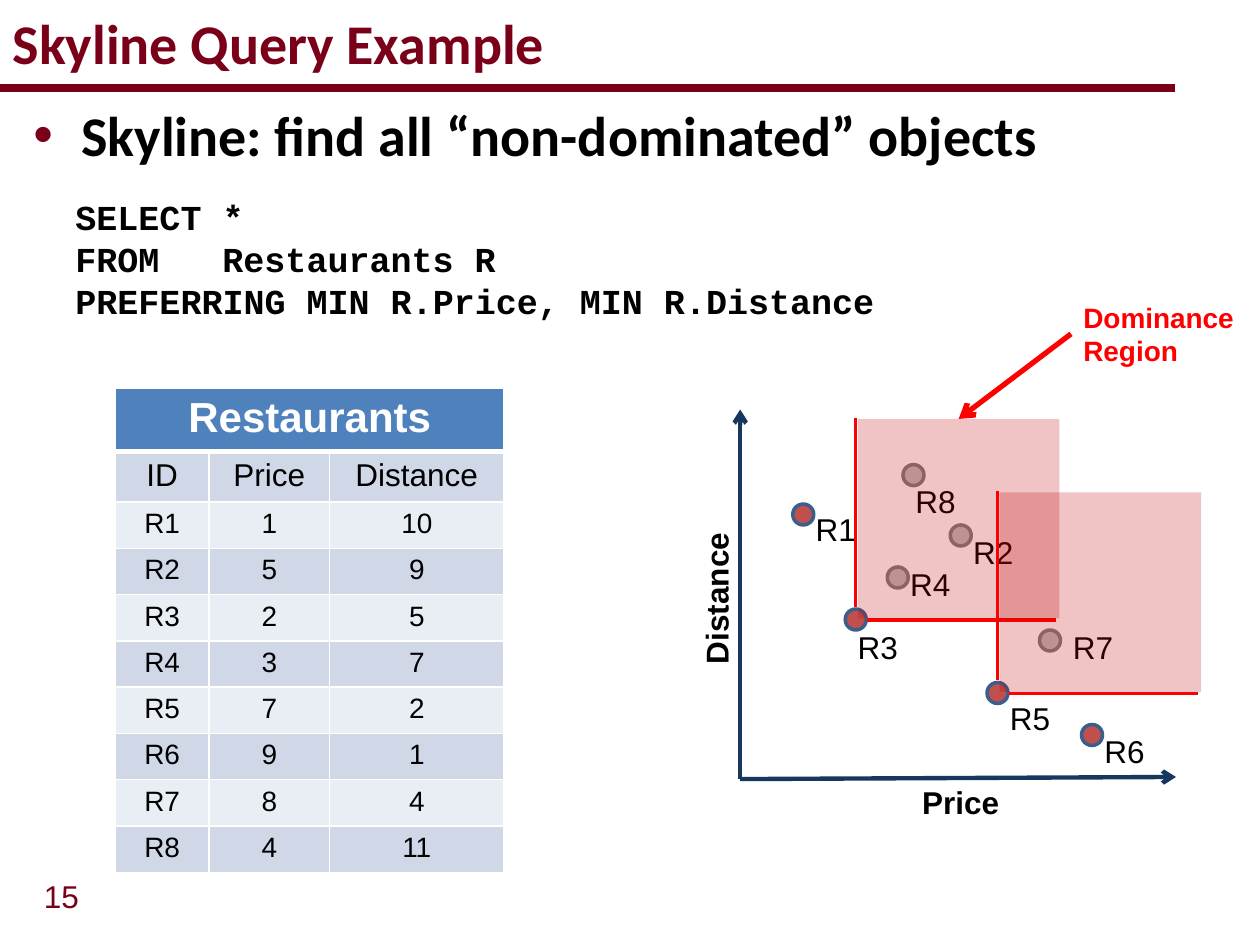
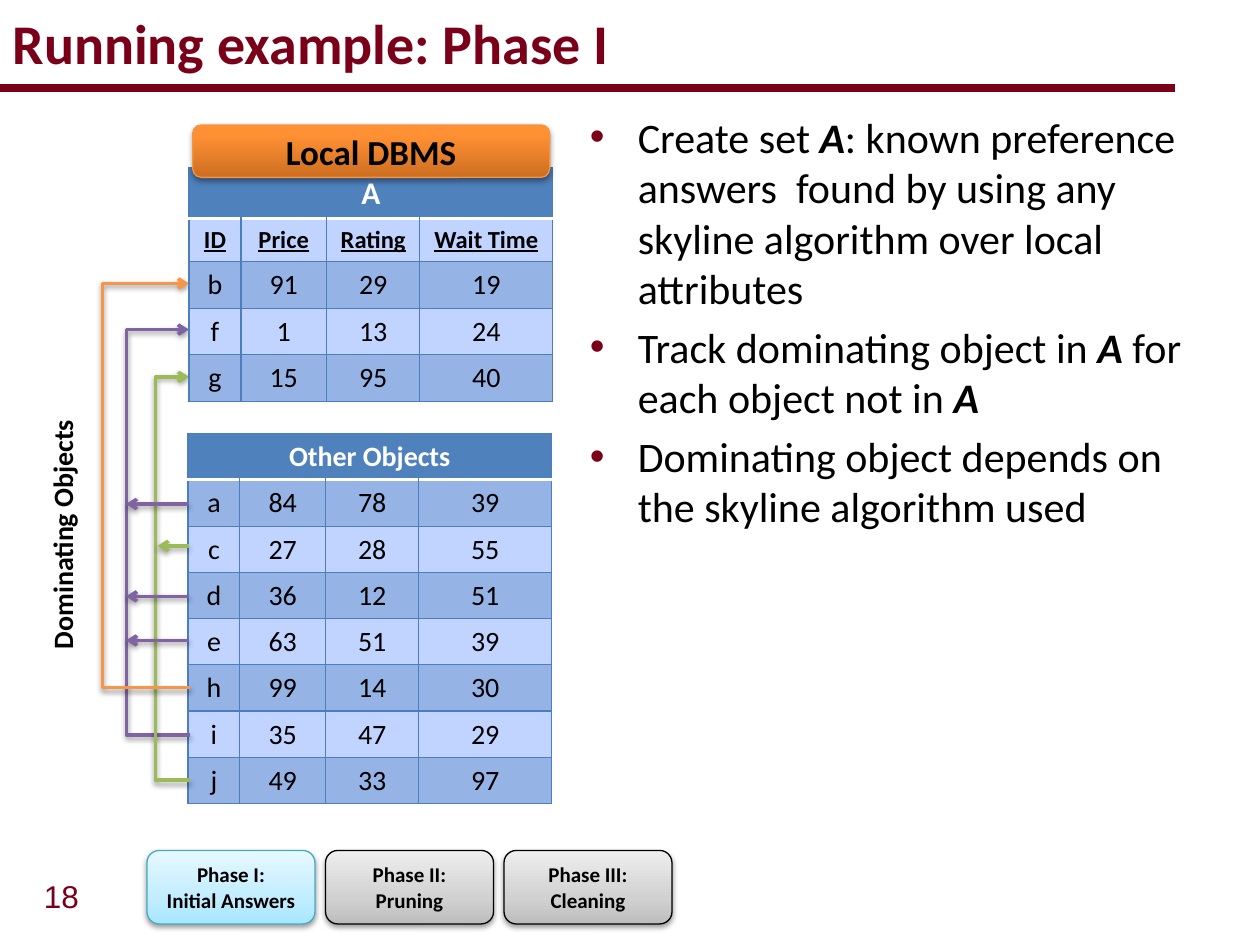
from pptx import Presentation
from pptx.dml.color import RGBColor
from pptx.enum.shapes import MSO_CONNECTOR, MSO_SHAPE
from pptx.enum.text import MSO_ANCHOR, PP_ALIGN
from pptx.oxml import parse_xml
from pptx.oxml.ns import nsdecls, qn
from pptx.util import Inches, Pt

# The slide is a grid of 120 columns by 90 rows of square cells
COLS, ROWS = 120, 90
WIDTH, HEIGHT = Inches(10), Inches(7.5)

MAROON = RGBColor(0x7A, 0x00, 0x19)
BLACK = RGBColor(0, 0, 0)
WHITE = RGBColor(0xFF, 0xFF, 0xFF)
RED = RGBColor(0xFF, 0, 0)
CRIMSON = RGBColor(0xC0, 0, 0)
NAVY = RGBColor(0x17, 0x37, 0x5E)
BLUE = RGBColor(0x4F, 0x81, 0xBD)
EDGE = RGBColor(0x4B, 0x7E, 0xBC)
BAND = RGBColor(0xD0, 0xD8, 0xE8)
PALE = RGBColor(0xE9, 0xED, 0xF4)
SKY = RGBColor(0x95, 0xB3, 0xE4)
ICE = RGBColor(0xC0, 0xD4, 0xFF)
BRICK = RGBColor(0xC0, 0x50, 0x4D)
STEEL = RGBColor(0x3A, 0x5F, 0x8C)
SILVER = RGBColor(0xBF, 0xBF, 0xBF)
GREY = RGBColor(0x80, 0x80, 0x80)
PURPLE = RGBColor(0x80, 0x64, 0xA2)
GREEN = RGBColor(0x9B, 0xBB, 0x59)
ORANGE = RGBColor(0xF7, 0x96, 0x46)
AMBER = RGBColor(0xF6, 0x92, 0x40)
TEAL = RGBColor(0x46, 0xAA, 0xC5)

AQUA = [(0, "A7E6FF"), (35, "C1EDFF"), (100, "E7F8FF")]
ASH = [(0, "BDBDBD"), (35, "D1D1D1"), (100, "EEEEEE")]
FLAME = [(0, "CC6E20"), (80, "FF9034"), (100, "FF9136")]

HEAD = dict(name="Calibri", size=Pt(32), bold=True, color=MAROON)
LEAD = dict(HEAD, color=BLACK)
BODY = dict(name="Calibri", size=Pt(24), color=BLACK)
CODE = dict(name="Courier New", size=Pt(20), bold=True, color=BLACK)
LABEL = dict(name="Arial", size=Pt(18), color=BLACK)
AXIS = dict(LABEL, bold=True)
NOTE = dict(name="Arial", size=Pt(16), bold=True, color=RED)
PHASE = dict(name="Calibri", size=Pt(12), bold=True, color=BLACK)
CELL = dict(name="Calibri", size=Pt(16), bold=False, color=BLACK)


def across(n):
    return round(WIDTH * n / COLS)


def down(n):
    return round(HEIGHT * n / ROWS)


def place(x, y, w, h):
    return across(x), down(y), across(w), down(h)


# Text
def style(font, form):
    for key, value in form.items():
        if key == "color":
            font.color.rgb = value
        else:
            setattr(font, key, value)


def write(frame, paras, form, align=PP_ALIGN.LEFT):
    """Each paragraph is a string, or a list whose odd items are bold italic."""
    for i, parts in enumerate(paras):
        para = frame.paragraphs[0] if i == 0 else frame.add_paragraph()
        para.alignment = align
        for j, part in enumerate([parts] if isinstance(parts, str) else parts):
            run = para.add_run()
            run.text = part
            style(run.font, dict(form, bold=True, italic=True) if j % 2 else form)


def add_text(slide, box, paras, form, align=PP_ALIGN.LEFT, turn=0):
    shape = slide.shapes.add_textbox(*place(*box))
    shape.rotation = turn
    shape.text_frame.word_wrap = True
    write(shape.text_frame, paras, form, align)
    return shape


def add_list(slide, box, paras, form):
    frame = add_text(slide, box, paras, form).text_frame
    for para in frame.paragraphs:
        para.space_before = Pt(form["size"].pt * 0.2)
        props = para._p.get_or_add_pPr()
        props.set("marL", str(Inches(0.38)))
        props.set("indent", str(-Inches(0.38)))
        for tag in (f'<a:buClr {nsdecls("a")}><a:srgbClr val="{MAROON}"/></a:buClr>',
                    f'<a:buFont {nsdecls("a")} typeface="Arial"/>',
                    f'<a:buChar {nsdecls("a")} char="•"/>'):
            props.append(parse_xml(tag))


# Lines and shapes
def effect(shape, shade):
    inner = ('<a:outerShdw blurRad="40000" dist="20000" dir="5400000" rotWithShape="0">'
             '<a:srgbClr val="000000"><a:alpha val="38000"/></a:srgbClr>'
             '</a:outerShdw>') if shade else ""
    shape._element.spPr.append(
        parse_xml(f'<a:effectLst {nsdecls("a")}>{inner}</a:effectLst>'))


def add_line(slide, start, end, color, width=2, arrow=False, shade=False,
             kind=MSO_CONNECTOR.STRAIGHT):
    line = slide.shapes.add_connector(
        kind, across(start[0]), down(start[1]), across(end[0]), down(end[1]))
    line.line.color.rgb = color
    line.line.width = Pt(width)
    if arrow:
        line.line._get_or_add_ln().append(
            parse_xml(f'<a:tailEnd {nsdecls("a")} type="arrow"/>'))
    effect(line, shade)
    return line


def add_loop(slide, x, bend, low, high, color):
    """Elbow arrow that leaves row low, runs along column bend, ends at row high."""
    slim = 0.1
    loop = add_line(slide, (x + slim, low), (x, high), color, 2, True, True,
                    MSO_CONNECTOR.ELBOW)
    ratio = round((x + slim - bend) / slim * 100000)
    guides = loop._element.spPr.find(qn("a:prstGeom")).get_or_add_avLst()
    guides.append(parse_xml(
        f'<a:gd {nsdecls("a")} name="adj1" fmla="val {ratio}"/>'))


def add_shape(slide, kind, box, fill=None, edge=None, width=0.75):
    shape = slide.shapes.add_shape(kind, *place(*box))
    if fill is not None:
        shape.fill.solid()
        shape.fill.fore_color.rgb = fill
    if edge is None:
        shape.line.fill.background()
    else:
        shape.line.color.rgb = edge
        shape.line.width = Pt(width)
    return shape


def add_pill(slide, box, stops, edge, paras, form):
    pill = add_shape(slide, MSO_SHAPE.ROUNDED_RECTANGLE, box, edge=edge)
    marks = "".join(f'<a:gs pos="{pos * 1000}"><a:srgbClr val="{tone}"/></a:gs>'
                    for pos, tone in stops)
    pill._element.spPr.insert(2, parse_xml(
        f'<a:gradFill {nsdecls("a")} rotWithShape="1"><a:gsLst>{marks}</a:gsLst>'
        '<a:lin ang="16200000" scaled="0"/></a:gradFill>'))
    effect(pill, True)
    pill.text_frame.vertical_anchor = MSO_ANCHOR.MIDDLE
    write(pill.text_frame, paras, form, PP_ALIGN.CENTER)


def add_dot(slide, x, y, kept):
    fill, edge = (BRICK, STEEL) if kept else (SILVER, GREY)
    dot = add_shape(slide, MSO_SHAPE.FLOWCHART_CONNECTOR,
                    (x - 1, y - 1, 2, 2), fill, edge, 2)
    dot.shadow.inherit = False


def add_region(slide, x, y):
    """Area dominated by the point at x, y."""
    add_line(slide, (x, y - 19.2), (x, y - 1.2), RED)
    add_line(slide, (x + 19.1, y + 0.05), (x + 1.1, y + 0.05), RED)
    area = add_shape(slide, MSO_SHAPE.RECTANGLE,
                     (x + 0.2, y - 19.1, 19.2, 19), CRIMSON)
    area.shadow.inherit = False
    tone = area._element.spPr.find(qn("a:solidFill"))[0]
    tone.append(parse_xml(f'<a:alpha {nsdecls("a")} val="23000"/>'))
    return area


# Tables
def rule(cell, edges):
    props = cell._tc.get_or_add_tcPr()
    for i, (side, (color, width)) in enumerate(zip("LRTB", edges)):
        props.insert(i, parse_xml(
            f'<a:ln{side} {nsdecls("a")} w="{Pt(width)}"><a:solidFill>'
            f'<a:srgbClr val="{color}"/></a:solidFill></a:ln{side}>'))


def add_grid(slide, spot, wide, tall, rows, fills, forms, thin, thick):
    """The first row is a title across all columns; forms maps a row to its format."""
    frame = slide.shapes.add_table(len(rows), len(wide),
                                   *place(*spot, sum(wide), sum(tall)))
    table = frame.table
    for col, size in zip(table.columns, wide):
        col.width = across(size)
    for row, size in zip(table.rows, tall):
        row.height = down(size)
    table.cell(0, 0).merge(table.cell(0, len(wide) - 1))
    for i, row in enumerate(rows):
        for j in range(len(wide)):
            cell = table.cell(i, j)
            cell.fill.solid()
            cell.fill.fore_color.rgb = BLUE if i == 0 else fills[i % 2]
            rule(cell, (thin, thin, thick if i == 1 else thin,
                        thick if i == 0 else thin))
            if j < len(row):
                write(cell.text_frame, [row[j]], forms.get(i, forms["rest"]),
                      PP_ALIGN.CENTER)


# Title, rule and number that every slide has
def add_page(deck, title, number):
    slide = deck.slides.add_slide(deck.slide_layouts[5])
    head = slide.shapes.title
    head.left, head.top, head.width, head.height = place(0, 0, 114, 8)
    head.text_frame.vertical_anchor = MSO_ANCHOR.MIDDLE
    write(head.text_frame, [title], HEAD)
    add_line(slide, (-0.1, 8.4), (111.9, 8.4), MAROON, 4.5)
    add_text(slide, (3, 82.9, 6.1, 4.8), [number], dict(LABEL, color=MAROON))
    return slide


def add_query(deck):
    slide = add_page(deck, "Skyline Query Example", "15")
    add_list(slide, (2, 9, 116, 8),
             ["Skyline: find all “non-dominated” objects"], LEAD)
    add_text(slide, (6, 18, 110.5, 13.3),
             ["SELECT *", "FROM \t Restaurants R",
              "PREFERRING MIN R.Price, MIN R.Distance"], CODE)

    # Restaurants
    data = [(1, 10), (5, 9), (2, 5), (3, 7), (7, 2), (9, 1), (8, 4), (4, 11)]
    rows = [["Restaurants"], ["ID", "Price", "Distance"]]
    rows += [[f"R{i}", str(p), str(d)] for i, (p, d) in enumerate(data, 1)]
    forms = {0: dict(AXIS, size=Pt(24), color=WHITE), 1: dict(LABEL, bold=False),
             "rest": dict(LABEL, size=Pt(16), bold=False)}
    add_grid(slide, (11, 37), (8.9, 11.5, 16.6), [5.6, 4.5] + [4.41] * 8,
             rows, (PALE, BAND), forms, (WHITE, 1), (WHITE, 3))

    # Axes
    add_line(slide, (70.5, 74.2), (112, 74), NAVY, 2.5, True)
    add_line(slide, (70.5, 74.2), (70.5, 39), NAVY, 2.5, True)
    add_text(slide, (70, 74, 43, 4.8), ["Price"], AXIS, PP_ALIGN.CENTER)
    add_text(slide, (51.2, 54.6, 34, 4.8), ["Distance"], AXIS,
             PP_ALIGN.CENTER, 270)

    # Points: centre, on the skyline or not, shift of the label
    points = {"R1": (76.5, 49, True, 0, -1), "R2": (91.5, 51, False, 0, -0.8),
              "R3": (81.5, 59, True, -1, 0.2), "R4": (85.5, 55, False, 0, -1.8),
              "R5": (95, 66, True, 0, 0), "R6": (104, 70, True, 0, -0.9),
              "R7": (100, 61, False, 1, -1.8), "R8": (87, 45.25, False, -1, 0.1)}
    for name, (x, y, kept, dx, dy) in points.items():
        add_dot(slide, x, y, kept)
        add_text(slide, (x + dx, y + dy, 8, 4.8), [name], LABEL)

    # Dominance regions
    area, _ = [add_region(slide, *points[name][:2]) for name in ("R3", "R5")]
    arrow = add_line(slide, (102, 31.8), (91.3, 39.9), RED, 3, True)
    arrow.end_connect(area, 0)
    add_text(slide, (102, 28, 18, 7.7), ["Dominance", "Region"], NOTE)


def add_phase(deck):
    slide = add_page(deck, "Running example: Phase I", "18")
    add_list(slide, (55, 10, 62, 68.5), [
        ["Create set ", "A", ": known preference answers  found by using any "
         "skyline algorithm over local attributes"],
        ["Track dominating object in ", "A", " for each object not in ", "A"],
        "Dominating object depends on the skyline algorithm used"], BODY)

    # Phases
    steps = [("Phase I:", "Initial Answers"), ("Phase II:", "Pruning"),
             ("Phase III:", "Cleaning")]
    for i, step in enumerate(steps):
        stops, edge = (AQUA, TEAL) if i == 0 else (ASH, BLACK)
        add_pill(slide, (14 + 17 * i, 81, 16, 7), stops, edge, step, PHASE)

    # Objects
    top = dict(CELL, bold=True, color=WHITE)
    wide, lines = (4.95, 8.15, 8.9, 12.65), ((EDGE, 0.75), (WHITE, 2))
    others = ["a 84 78 39", "c 27 28 55", "d 36 12 51", "e 63 51 39",
              "h 99 14 30", "i 35 47 29", "j 49 33 97"]
    add_grid(slide, (17.9, 41.3), wide, [4.4] * 8,
             [["Other Objects"]] + [row.split() for row in others],
             (ICE, SKY), {0: top, "rest": CELL}, *lines)

    # Links to the dominating objects
    for bend, low, high, color in ((12, 70, 31.4, PURPLE), (14.8, 74.3, 35.9, GREEN),
                                   (9.7, 65.5, 27, ORANGE)):
        add_loop(slide, 18, bend, low, high, color)
    for x, y, color in ((12, 61, PURPLE), (15, 52, GREEN),
                        (12, 48, PURPLE), (12, 56.8, PURPLE)):
        add_line(slide, (18, y), (x, y), color, 2, True, True)

    # Known answers
    forms = {0: dict(top, size=Pt(18)), "rest": CELL,
             1: dict(CELL, size=Pt(14), bold=True, underline=True)}
    add_grid(slide, (18, 16), wide, (4.85, 4.05, 4.45, 4.45, 4.45),
             [["A"], ["ID", "Price", "Rating", "Wait Time"]]
             + [row.split() for row in ("b 91 29 19", "f 1 13 24", "g 15 95 40")],
             (SKY, ICE), forms, *lines)
    add_pill(slide, (18.35, 11.9, 34, 5), FLAME, AMBER, ["Local DBMS"],
             dict(PHASE, size=Pt(20)))
    add_text(slide, (-7.1, 48.7, 26, 4.4), ["Dominating Objects"],
             dict(PHASE, size=Pt(16)), PP_ALIGN.CENTER, 270)


def main():
    deck = Presentation()
    deck.slide_width, deck.slide_height = WIDTH, HEIGHT
    add_query(deck)
    add_phase(deck)
    deck.save("out.pptx")


if __name__ == "__main__":
    main()
